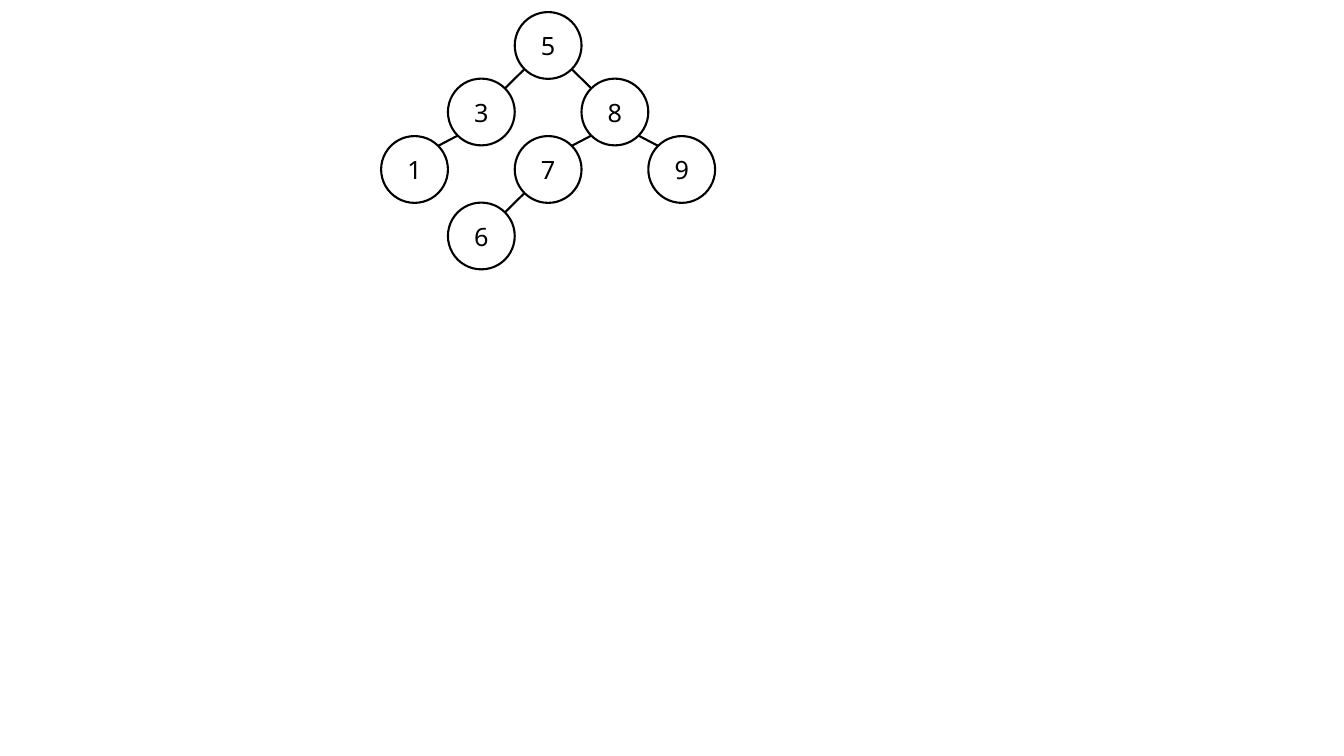
import math
from lxml import etree
from pptx import Presentation
from pptx import util as u
from pptx.dml.color import RGBColor
from pptx.enum import shapes, text
from pptx.oxml.ns import qn

THEME = {
    "ink": RGBColor(0, 0, 0),
    "paper": RGBColor(255, 255, 255),
    "font": "Noto Sans",
    "size": u.Pt(18),
    "line": u.Pt(1.5),
}

prs = Presentation()
prs.slide_width, prs.slide_height = u.Inches(13.33), u.Inches(7.5)
s = prs.slides.add_slide(prs.slide_layouts[6])
tree = s.shapes.add_group_shape()

COL = 2.65 / 4
LEFT = 3.78
ROWS = [0.12, 0.78, 1.35, 2.01]
RADIUS = COL / 2
DIAGONAL = RADIUS * math.sqrt(0.5)

nodes = {"5": (2, 0), "3": (1, 1), "8": (3, 1), "1": (0, 2), "9": (4, 2), "7": (2, 2), "6": (1, 3)}
edges = ["53", "58", "89", "76", "87", "31"]

centers = {}
for key, (col, row) in nodes.items():
    x, y = LEFT + col * COL, ROWS[row]
    centers[key] = x + RADIUS, y + RADIUS
    sp = tree.shapes.add_shape(shapes.MSO_SHAPE.OVAL, u.Inches(x), u.Inches(y), u.Inches(COL), u.Inches(COL))
    sp.shadow.inherit = False
    sp.fill.solid()
    sp.fill.fore_color.rgb = THEME["paper"]
    sp.line.color.rgb = THEME["ink"]
    sp.line.width = THEME["line"]
    tf = sp.text_frame
    tf.vertical_anchor = text.MSO_ANCHOR.MIDDLE
    p = tf.paragraphs[0]
    p.alignment = text.PP_ALIGN.CENTER
    r = p.add_run()
    r.text = key
    r.font.name = THEME["font"]
    r.font.size = THEME["size"]
    r.font.color.rgb = THEME["ink"]

for parent, child in edges:
    (x1, y1), (x2, y2) = centers[parent], centers[child]
    dx = math.copysign(DIAGONAL, x2 - x1)
    ends = x1 + dx, y1 + DIAGONAL, x2 - dx, y2 - DIAGONAL
    cx = tree.shapes.add_connector(shapes.MSO_CONNECTOR.STRAIGHT, *[u.Inches(v) for v in ends])
    cx.line.color.rgb = THEME["ink"]
    cx.line.width = THEME["line"]
    etree.SubElement(cx._element.spPr, qn("a:effectLst"))

prs.save("out.pptx")
